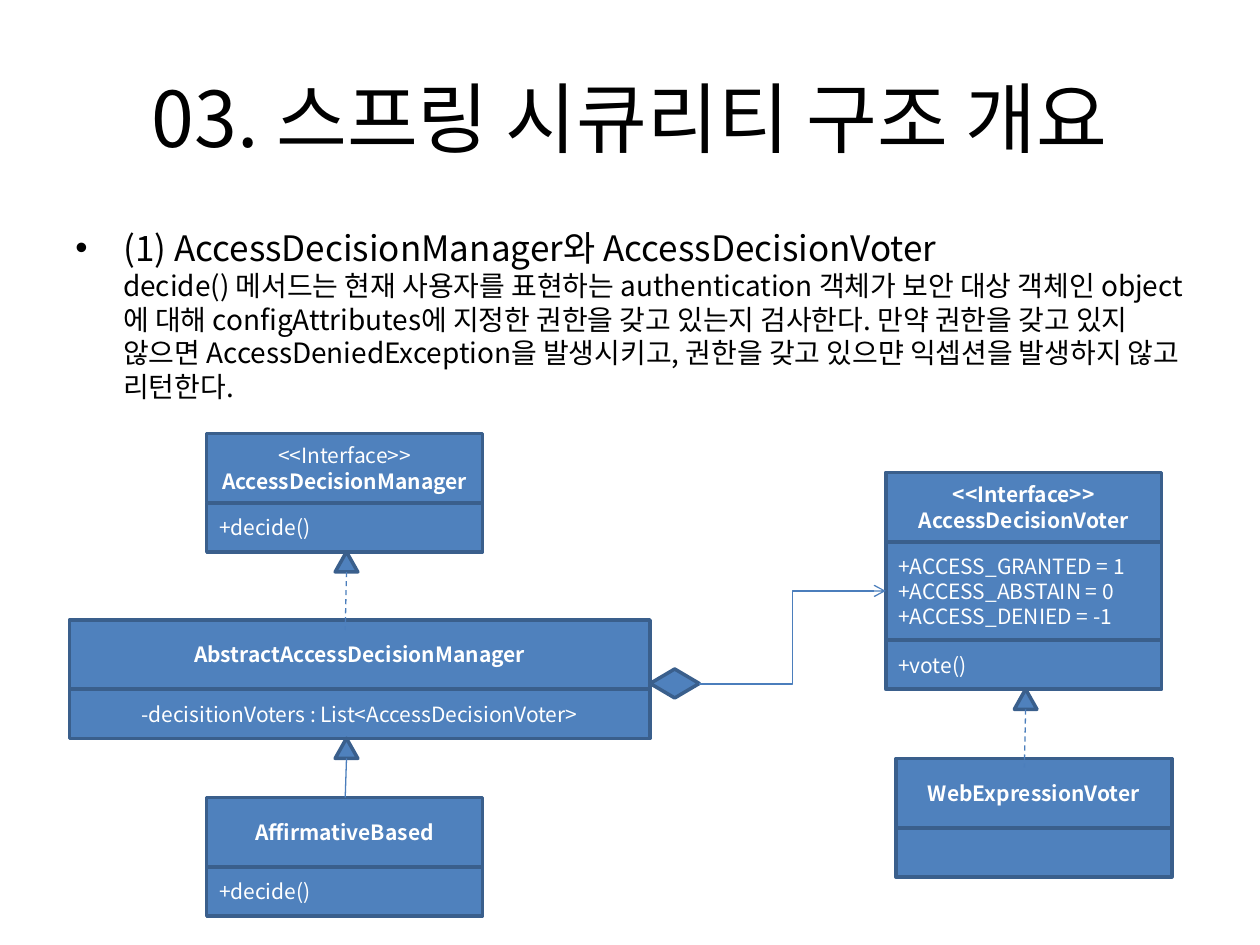
from copy import deepcopy
from dataclasses import dataclass
from typing import Optional

from lxml import etree
from pptx import Presentation
from pptx.dml.color import RGBColor
from pptx.enum import dml, shapes, text
from pptx.oxml import ns
from pptx.util import Inches, Pt


@dataclass(frozen=True)
class Theme:
    font: str = "Noto Sans CJK KR"
    ink: str = "000000"
    on_fill: str = "FFFFFF"
    fill: str = "4F81BD"
    border: str = "3A5F8C"
    link: str = "4B7EBC"
    title: int = 44
    heading: int = 20
    body: int = 16
    label: int = 12
    border_width: float = 2
    link_width: float = 0.75


@dataclass(frozen=True)
class Compartment:
    lines: tuple[str, ...] = ()
    height: float = 0.39
    align: text.PP_ALIGN = text.PP_ALIGN.LEFT


@dataclass(frozen=True)
class UmlClass:
    left: float
    top: float
    name: str
    compartments: tuple[Compartment, ...]
    width: float = 2.19
    stereotype: str = ""
    stereotype_bold: bool = True


@dataclass(frozen=True)
class Inheritance:
    """Triangle under the parent, with a line down to the child."""
    center: float
    top: float
    end: float
    dash: Optional[dml.MSO_LINE] = None


THEME = Theme()
HEADER_HEIGHT = 0.55
TRIANGLE_WIDTH, TRIANGLE_HEIGHT = 0.18, 0.16

DECIDE = Compartment(("+decide()",))
CLASSES = (
    UmlClass(1.64, 3.44, "AccessDecisionManager", (DECIDE,),
             stereotype="<<Interface>>", stereotype_bold=False),
    UmlClass(0.55, 4.92, "AbstractAccessDecisionManager",
             (Compartment(("-decisitionVoters : List<AccessDecisionVoter>",),
                          align=text.PP_ALIGN.CENTER),), width=4.61),
    UmlClass(1.64, 6.33, "AffirmativeBased", (DECIDE,)),
    UmlClass(7.03, 3.75, "AccessDecisionVoter",
             (Compartment(("+ACCESS_GRANTED = 1", "+ACCESS_ABSTAIN = 0",
                           "+ACCESS_DENIED = -1"), height=0.78),
              Compartment(("+vote()",))), stereotype="<<Interface>>"),
    UmlClass(7.11, 6.02, "WebExpressionVoter", (Compartment(),)),
)
INHERITANCES = (
    Inheritance(2.75, 4.38, 5.0, dml.MSO_LINE.DASH),
    Inheritance(2.75, 5.86, 6.33),
    Inheritance(8.14, 5.47, 6.09, dml.MSO_LINE.DASH),
)

TITLE = "03. 스프링 시큐리티 구조 개요"
HEADING = "(1) AccessDecisionManager와 AccessDecisionVoter"
EXPLANATION = (
    "decide() 메서드는 현재 사용자를 표현하는 authentication 객체가 보안 대상 객체인 "
    "object에 대해 configAttributes에 지정한 권한을 갖고 있는지 검사한다. 만약 권한을 "
    "갖고 있지 않으면 AccessDeniedException을 발생시키고, 권한을 갖고 있으먄 익셉션을 "
    "발생하지 않고 리턴한다."
)


def color(value: str) -> RGBColor:
    return RGBColor.from_string(value)


def write(paragraph, words: str, *, size: int, ink: str, bold: bool = False,
          align: text.PP_ALIGN = text.PP_ALIGN.LEFT, break_after: bool = False) -> None:
    paragraph.alignment = align
    run = paragraph.add_run()
    run.text = words
    run.font.name, run.font.size, run.font.bold = THEME.font, Pt(size), bold
    run.font.color.rgb = color(ink)
    properties = run.font._element
    etree.SubElement(properties, ns.qn("a:ea"), typeface=THEME.font)
    if break_after:
        paragraph.add_line_break()
        paragraph._p[-1].append(deepcopy(properties))


def add_text_area(slide, left: float, top: float, width: float, height: float,
                  anchor: text.MSO_ANCHOR):
    frame = slide.shapes.add_textbox(
        Inches(left), Inches(top), Inches(width), Inches(height)).text_frame
    frame.word_wrap = True
    frame.vertical_anchor = anchor
    return frame.paragraphs[0]


def add_part(slide, kind: shapes.MSO_SHAPE, left: float, top: float,
             width: float, height: float):
    part = slide.shapes.add_shape(
        kind, Inches(left), Inches(top), Inches(width), Inches(height))
    part.shadow.inherit = False
    part.fill.solid()
    part.fill.fore_color.rgb = color(THEME.fill)
    part.line.color.rgb = color(THEME.border)
    part.line.width = Pt(THEME.border_width)
    part.text_frame.vertical_anchor = text.MSO_ANCHOR.MIDDLE
    return part


def add_link(slide, kind: shapes.MSO_CONNECTOR, start: tuple[float, float],
             end: tuple[float, float], dash: Optional[dml.MSO_LINE] = None,
             arrow: bool = False) -> None:
    link = slide.shapes.add_connector(kind, *map(Inches, start + end))
    link.line.color.rgb = color(THEME.link)
    link.line.width = Pt(THEME.link_width)
    if dash is not None:
        link.line.dash_style = dash
    if arrow:
        etree.SubElement(link.line._get_or_add_ln(), ns.qn("a:tailEnd"), type="arrow")
    etree.SubElement(link._element.spPr, ns.qn("a:effectLst"))


def add_class(slide, uml: UmlClass) -> None:
    label = dict(size=THEME.label, ink=THEME.on_fill)
    header = add_part(slide, shapes.MSO_SHAPE.RECTANGLE,
                      uml.left, uml.top, uml.width, HEADER_HEIGHT)
    heading = header.text_frame.paragraphs[0]
    if uml.stereotype:
        write(heading, uml.stereotype, bold=uml.stereotype_bold,
              align=text.PP_ALIGN.CENTER, break_after=True, **label)
    write(heading, uml.name, bold=True, align=text.PP_ALIGN.CENTER, **label)

    top = uml.top + HEADER_HEIGHT
    for compartment in uml.compartments:
        frame = add_part(slide, shapes.MSO_SHAPE.RECTANGLE, uml.left, top,
                         uml.width, compartment.height).text_frame
        for index, member in enumerate(compartment.lines):
            paragraph = frame.add_paragraph() if index else frame.paragraphs[0]
            write(paragraph, member, align=compartment.align, **label)
        top += compartment.height


def add_inheritance(slide, bond: Inheritance) -> None:
    add_part(slide, shapes.MSO_SHAPE.ISOSCELES_TRIANGLE,
             bond.center - TRIANGLE_WIDTH / 2, bond.top, TRIANGLE_WIDTH, TRIANGLE_HEIGHT)
    add_link(slide, shapes.MSO_CONNECTOR.STRAIGHT,
             (bond.center, bond.top + TRIANGLE_HEIGHT),
             (bond.center - 0.01, bond.end), bond.dash)


def main() -> None:
    deck = Presentation()
    deck.slide_width, deck.slide_height = Inches(10), Inches(7.5)
    slide = deck.slides.add_slide(deck.slide_layouts[6])

    # Title
    title = add_text_area(slide, 0.5, 0.3, 9, 1.25, text.MSO_ANCHOR.MIDDLE)
    write(title, TITLE, size=THEME.title, ink=THEME.ink, align=text.PP_ALIGN.CENTER)

    # Bulleted explanation
    body = add_text_area(slide, 0.5, 1.75, 9, 4.95, text.MSO_ANCHOR.TOP)
    write(body, HEADING, size=THEME.heading, ink=THEME.ink, break_after=True)
    write(body, EXPLANATION, size=THEME.body, ink=THEME.ink)
    layout = body._p.get_or_add_pPr()
    layout.set("marL", str(Inches(0.38)))
    layout.set("indent", str(-Inches(0.38)))
    etree.SubElement(layout, ns.qn("a:buFont"), typeface="Arial")
    etree.SubElement(layout, ns.qn("a:buChar"), char="•")

    # Class diagram
    for uml in CLASSES:
        add_class(slide, uml)
    for bond in INHERITANCES:
        add_inheritance(slide, bond)

    # Aggregation of voters
    add_part(slide, shapes.MSO_SHAPE.FLOWCHART_DECISION, 5.16, 5.31, 0.39, 0.23)
    add_link(slide, shapes.MSO_CONNECTOR.ELBOW, (5.55, 5.43), (7.03, 4.69), arrow=True)

    deck.save("out.pptx")


if __name__ == "__main__":
    main()
